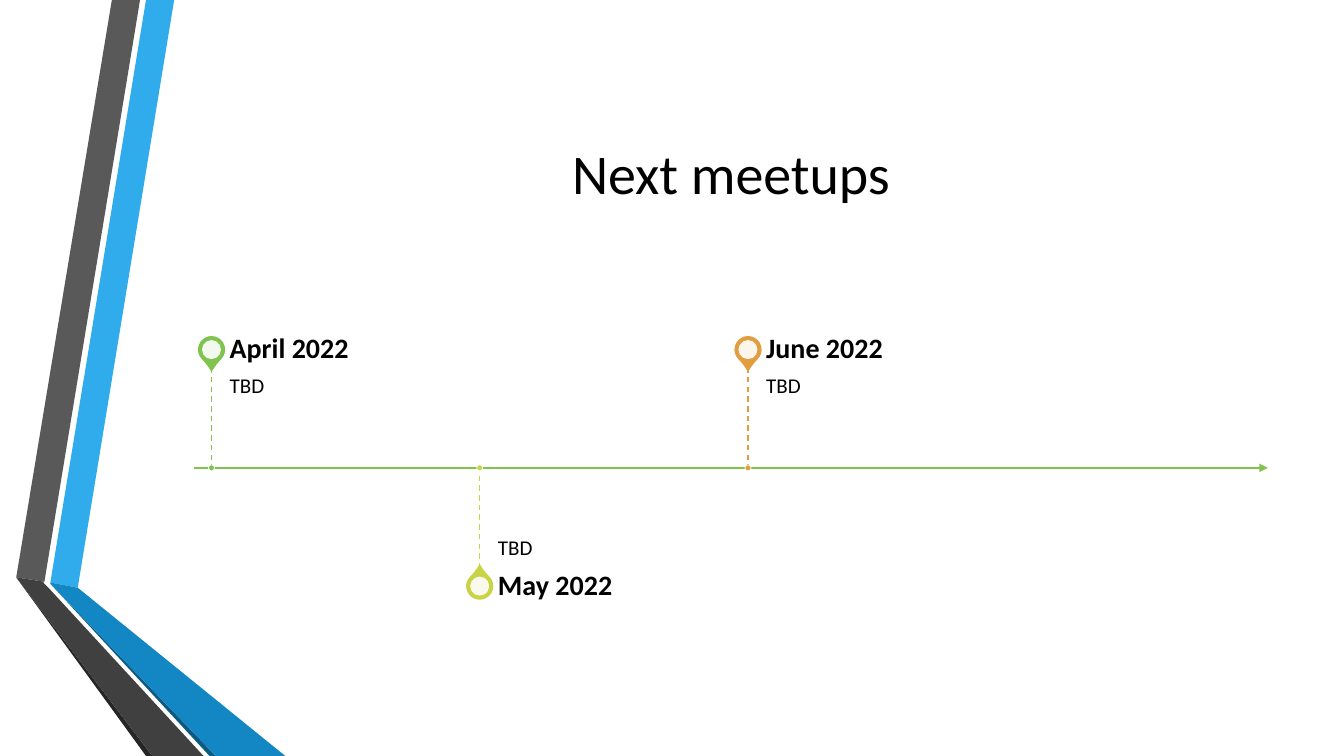
from dataclasses import dataclass

from pptx import Presentation
from pptx import util as u
from pptx.dml.color import RGBColor
from pptx.enum import dml, shapes, text
from pptx.oxml.ns import qn
from lxml import etree


@dataclass(frozen=True)
class Theme:
    """Colours, font and type sizes of the slide."""
    font: str = "Calibri"
    ink: str = "000000"
    paper: str = "FFFFFF"
    green: str = "80C34F"
    lime: str = "C8D346"
    orange: str = "E29D3E"
    sky: str = "30ACEC"
    blue: str = "1287C3"
    navy: str = "0C5A82"
    grey: str = "595959"
    charcoal: str = "404040"
    soot: str = "262626"
    title: int = 40
    month: int = 20
    detail: int = 15


T = Theme()
RIBBONS = [
    (T.sky, [(1.27, 14.68), (1.96, 14.81), (4.39, 0), (3.68, 0)]),
    (T.grey, [(3.53, 0), (2.82, 0), (0.41, 14.55), (1.12, 14.66)]),
    (T.soot, [(0.41, 14.55), (3.68, 19.05), (3.84, 19.05)]),
    (T.navy, [(1.27, 14.71), (5.28, 19.05), (5.44, 19.05)]),
    (T.blue, [(1.27, 14.68), (1.27, 14.71), (5.44, 19.05), (7.19, 19.05),
              (1.96, 14.81)]),
    (T.charcoal, [(5.13, 19.05), (1.22, 14.81), (1.09, 14.68), (1.12, 14.66),
                  (0.41, 14.55), (3.84, 19.05)]),
]
MEETUPS = [("April 2022", "TBD", T.green), ("May 2022", "TBD", T.lime),
           ("June 2022", "TBD", T.orange)]


def rgb(code):
    """Turn a hex code into a colour."""
    return RGBColor.from_string(code)


def paint(sp, fill, line=None, width=0):
    """Give a shape its fill and outline, without shadow."""
    sp.shadow.inherit = False
    sp.fill.solid()
    sp.fill.fore_color.rgb = rgb(fill)
    if line:
        sp.line.color.rgb = rgb(line)
        sp.line.width = u.Pt(width)
    else:
        sp.line.fill.background()


def add_centred(s, kind, x, y, size):
    """Add a square preset shape centred on a point."""
    return s.shapes.add_shape(kind, u.Cm(x - size / 2), u.Cm(y - size / 2),
                              u.Cm(size), u.Cm(size))


def add_line(s, x1, y1, x2, y2, color, width):
    """Add a straight connector."""
    line = s.shapes.add_connector(shapes.MSO_CONNECTOR.STRAIGHT,
                                  u.Cm(x1), u.Cm(y1), u.Cm(x2), u.Cm(y2))
    line.line.color.rgb = rgb(color)
    line.line.width = u.Pt(width)
    etree.SubElement(line._element.spPr, qn("a:effectLst"))
    return line


def add_text(s, box, words, size, anchor, insets, bold=False, spacing=0.9):
    """Add a one-paragraph text box and return its paragraph."""
    tf = s.shapes.add_textbox(*map(u.Cm, box)).text_frame
    tf.word_wrap = True
    tf.vertical_anchor = anchor
    (tf.margin_left, tf.margin_top,
     tf.margin_right, tf.margin_bottom) = map(u.Cm, insets)
    p = tf.paragraphs[0]
    p.text = words
    p.line_spacing = spacing
    p.font.name = T.font
    p.font.size = u.Pt(size)
    p.font.bold = bold
    p.font.color.rgb = rgb(T.ink)
    return p


def add_ribbons(s):
    """Draw the folded ribbons at the left edge."""
    for color, points in RIBBONS:
        start, *rest = [(u.Cm(x), u.Cm(y)) for x, y in points]
        builder = s.shapes.build_freeform(*start)
        builder.add_line_segments(rest)
        paint(builder.convert_to_shape(), color)


def add_title(s, box):
    """Place the centred title."""
    p = add_text(s, box, "Next meetups", T.title, text.MSO_ANCHOR.MIDDLE,
                 (0.25, 0.13, 0.25, 0.13), spacing=1.0)
    p.alignment = text.PP_ALIGN.CENTER


def add_meetup(s, x, axis, side, meetup):
    """Place one meetup above (side -1) or below (side 1) the axis."""
    month, detail, color = meetup
    above = side < 0
    stem, reach, label_h, width = 2.54, 2.98, 0.89, 11.25
    pin_y = axis + side * reach
    left = x + 0.46

    pin = add_centred(s, shapes.MSO_SHAPE.TEAR, x, pin_y, 0.64)
    pin.adjustments[0] = 1.15
    pin.rotation = 135 if above else 315
    paint(pin, color, color, 1.25)
    hole = add_centred(s, shapes.MSO_SHAPE.OVAL, x, pin_y, 0.48)
    paint(hole, T.paper)
    clr = hole._element.spPr.find(qn("a:solidFill"))[0]
    etree.SubElement(clr, qn("a:alpha"), val="90000")

    add_text(s, (left, axis - stem if above else axis, width, stem), detail,
             T.detail,
             text.MSO_ANCHOR.TOP if above else text.MSO_ANCHOR.BOTTOM,
             (0, 0.25, 0.25, 0.41) if above else (0, 0.41, 0, 0.25))
    add_text(s, (left, pin_y - label_h / 2, width, label_h), month, T.month,
             text.MSO_ANCHOR.MIDDLE, (0, 0, 0.36, 0), bold=True)

    line = add_line(s, x, axis + side * stem, x, axis, color, 1)
    line.line.dash_style = dml.MSO_LINE.DASH
    dot = add_centred(s, shapes.MSO_SHAPE.OVAL, x, axis, 0.15)
    paint(dot, color, T.paper, 0.5)


def add_timeline(s, box):
    """Draw the axis and its meetups on alternating sides."""
    left, top, width, height = box
    axis = top + height / 2
    axis_line = add_line(s, left, axis, left + width, axis, T.green, 1.5)
    etree.SubElement(axis_line.line._get_or_add_ln(), qn("a:tailEnd"),
                     type="triangle")
    for i, meetup in enumerate(MEETUPS):
        add_meetup(s, left + 0.43 + i * 6.76, axis, 1 if i % 2 else -1, meetup)


def main():
    """Build and save the slide."""
    prs = Presentation()
    prs.slide_width, prs.slide_height = u.Cm(33.87), u.Cm(19.05)
    s = prs.slides.add_slide(prs.slide_layouts[6])
    add_ribbons(s)
    add_title(s, (4.9, 1.9, 27.05, 4.88))
    add_timeline(s, (4.9, 8.36, 27.05, 6.86))
    prs.save("out.pptx")


if __name__ == "__main__":
    main()
